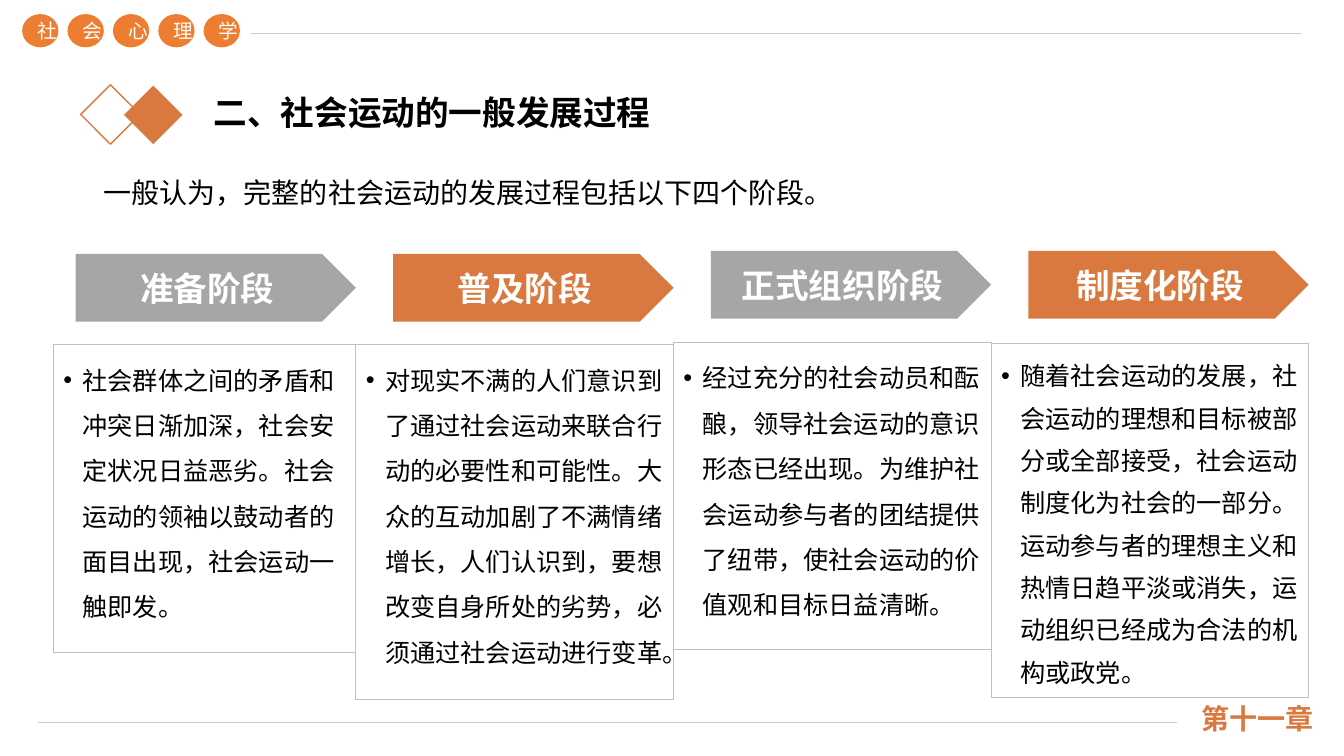
from pptx import Presentation
from pptx.dml.color import RGBColor
from pptx.enum.shapes import MSO_CONNECTOR as CONN, MSO_SHAPE as SHAPE
from pptx.enum.text import MSO_ANCHOR as ANCHOR, PP_ALIGN as ALIGN
from pptx.oxml.ns import qn
from pptx.util import Inches, Pt
from lxml import etree

ORANGE = RGBColor(0xD9, 0x79, 0x3F)
BADGE = RGBColor(0xED, 0x7D, 0x31)
GREY = RGBColor(0xA6, 0xA6, 0xA6)
RULE = RGBColor(0xC9, 0xC9, 0xC9)
BORDER = RGBColor(0xBF, 0xBF, 0xBF)
WHITE = RGBColor(0xFF, 0xFF, 0xFF)
BLACK = RGBColor(0, 0, 0)
SC = "Noto Sans CJK SC"
JP = "Noto Sans CJK JP"

STAGES = [
    ("准备阶段", GREY, 2.52, (0.53, 3.42, 3, 3.05), 1.5,
     "社会群体之间的矛盾和冲突日渐加深，社会安定状况日益恶劣。社会运动的领袖以鼓动者的面目出现，社会运动一触即发。"),
    ("普及阶段", ORANGE, 2.52, (3.53, 3.42, 3.15, 3.52), 1.5,
     "对现实不满的人们意识到了通过社会运动来联合行动的必要性和可能性。大众的互动加剧了不满情绪增长，人们认识到，要想改变自身所处的劣势，必须通过社会运动进行变革。"),
    ("正式组织阶段", GREY, 2.49, (6.68, 3.4, 3.15, 3.04), 1.5,
     "经过充分的社会动员和酝酿，领导社会运动的意识形态已经出现。为维护社会运动参与者的团结提供了纽带，使社会运动的价值观和目标日益清晰。"),
    ("制度化阶段", ORANGE, 2.49, (9.83, 3.41, 3.15, 3.51), 1.4,
     "随着社会运动的发展，社会运动的理想和目标被部分或全部接受，社会运动制度化为社会的一部分。运动参与者的理想主义和热情日趋平淡或消失，运动组织已经成为合法的机构或政党。"),
]


class Deck:
    def __init__(self):
        self.prs = Presentation()
        self.prs.slide_width = Inches(13.33)
        self.prs.slide_height = Inches(7.5)
        self.s = self.prs.slides.add_slide(self.prs.slide_layouts[6])

    def put_text(self, sp, text, size, color, bold=False, font=SC, align=ALIGN.LEFT,
                 anchor=ANCHOR.TOP, wrap=True, spacing=None, bullet=False):
        tf = sp.text_frame
        tf.word_wrap = wrap
        tf.vertical_anchor = anchor
        p = tf.paragraphs[0]
        p.alignment = align
        if spacing:
            p.line_spacing = spacing
        if bullet:
            pPr = p._p.get_or_add_pPr()
            pPr.set("marL", str(Inches(0.19)))
            pPr.set("indent", str(-Inches(0.19)))
            etree.SubElement(pPr, qn("a:buFont")).set("typeface", "Arial")
            etree.SubElement(pPr, qn("a:buChar")).set("char", "•")
        r = p.add_run()
        r.text = text
        r.font.size = Pt(size)
        r.font.bold = bold
        r.font.color.rgb = color
        r.font.name = font
        etree.SubElement(r._r.get_or_add_rPr(), qn("a:ea")).set("typeface", font)

    def shape(self, kind, box, fill=None, line=None, width=1):
        sp = self.s.shapes.add_shape(kind, *map(Inches, box))
        sp.shadow.inherit = False
        if fill is None:
            sp.fill.background()
        else:
            sp.fill.solid()
            sp.fill.fore_color.rgb = fill
        if line is None:
            sp.line.fill.background()
        else:
            sp.line.color.rgb = line
            sp.line.width = Pt(width)
        return sp

    def text(self, box, text, size, color, **fmt):
        sp = self.s.shapes.add_textbox(*map(Inches, box))
        self.put_text(sp, text, size, color, **fmt)

    def rule(self, x1, x2, y):
        c = self.s.shapes.add_connector(CONN.STRAIGHT, *map(Inches, (x1, y, x2, y)))
        c.line.color.rgb = RULE
        c.line.width = Pt(1)
        etree.SubElement(c._element.spPr, qn("a:effectLst"))


def main():
    d = Deck()
    d.shape(SHAPE.DIAMOND, (1.23, 0.85, 0.58, 0.58), fill=ORANGE)
    d.shape(SHAPE.DIAMOND, (0.8, 0.84, 0.59, 0.59), line=ORANGE)
    d.rule(0.38, 11.67, 7.17)
    d.rule(2.49, 12.9, 0.33)
    d.text((11.82, 6.94, 3.11, 0.4), "第十一章", 20, ORANGE, bold=True, font=JP,
           anchor=ANCHOR.BOTTOM)
    for i, char in enumerate("社会心理学"):
        sp = d.shape(SHAPE.OVAL, (0.22 + 0.45 * i, 0.14, 0.36, 0.33), fill=BADGE)
        d.put_text(sp, char, 14, WHITE, align=ALIGN.CENTER, anchor=ANCHOR.MIDDLE)
    d.text((2.02, 0.86, 4.58, 0.5), "二、社会运动的一般发展过程", 24, BLACK,
           bold=True, wrap=False)
    d.text((0.93, 1.69, 11.27, 0.44),
           "一般认为，完整的社会运动的发展过程包括以下四个阶段。", 20, BLACK)
    for i, (title, color, top, box, spacing, body) in enumerate(STAGES):
        sp = d.shape(SHAPE.PENTAGON, (0.75 + 3.15 * i, top, 2.78, 0.67), fill=color)
        d.put_text(sp, title, 24, WHITE, bold=True, align=ALIGN.CENTER, anchor=ANCHOR.MIDDLE)
        sp = d.shape(SHAPE.RECTANGLE, box, fill=WHITE, line=BORDER, width=0.75)
        d.put_text(sp, body, 18, BLACK, spacing=spacing, bullet=True)
    d.prs.save("out.pptx")


if __name__ == "__main__":
    main()
